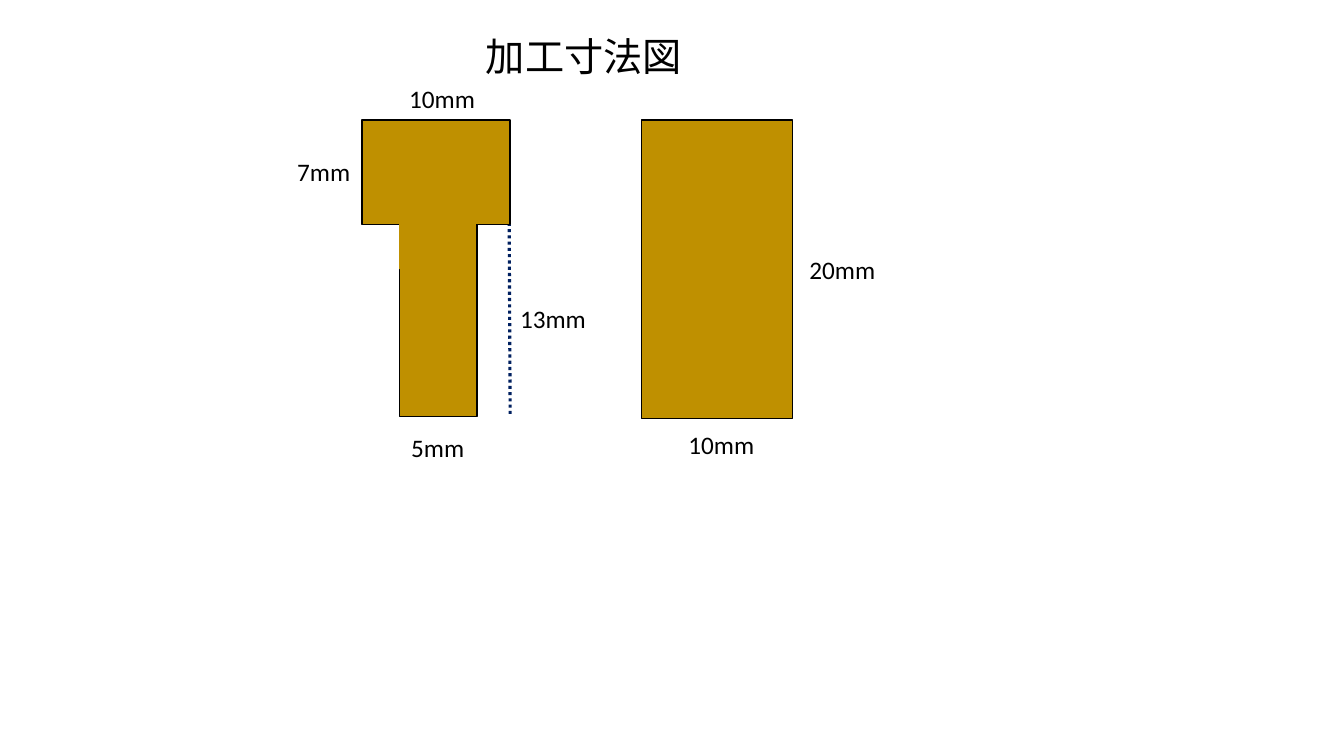
from lxml.etree import SubElement
from pptx import Presentation
from pptx.dml.color import RGBColor
from pptx.enum.dml import MSO_LINE as Dash
from pptx.enum.shapes import MSO_CONNECTOR as Conn, MSO_SHAPE as Shape
from pptx.enum.text import MSO_ANCHOR as Anchor, MSO_AUTO_SIZE as Fit, PP_ALIGN as Align
from pptx.oxml.ns import qn
from pptx.util import Inches, Pt

BLACK = RGBColor(0x00, 0x00, 0x00)
BROWN = RGBColor(0xBF, 0x90, 0x00)
NAVY = RGBColor(0x00, 0x20, 0x60)

WIDE, HIGH = 13.33, 7.5
TITLE = ("加工寸法図", (4.72, 0.27, 2.17, 0.57))

# Parts: left, top, width, height in inches
TOP = 1.19
HEAD = (3.59, TOP, 1.47, 1.04)
NECK = TOP + HEAD[3]
STEM = (3.96, NECK, 0.77, 1.9)
JOINT = (STEM[0], NECK - 0.56, 0.76, 1)  # hides the edge between head and stem
BLOCK = (6.36, TOP, 1.5, 2.96)
PARTS = [(BLOCK, True), (HEAD, True), (STEM, True), (JOINT, False)]

GUIDE = (5.05, 2.21, 5.06, 4.13)

# Labels: text, left, top
LABELS = [
    ("10mm", 3.96, 0.78),
    ("7mm", 2.85, 1.5),
    ("13mm", 5.06, 2.96),
    ("5mm", 3.98, 4.24),
    ("20mm", 7.93, 2.47),
    ("10mm", 6.73, 4.21),
]
CHAR, PAD, ROW = 0.13, 0.34, 0.4


def place(shape, box):
    shape.left, shape.top, shape.width, shape.height = map(Inches, box)


def write(shape, text, size=18, color=BLACK, font="Calibri"):
    frame = shape.text_frame
    frame.word_wrap = False
    frame.auto_size = Fit.SHAPE_TO_FIT_TEXT
    frame.vertical_anchor = Anchor.TOP
    line = frame.paragraphs[0]
    line.alignment = Align.LEFT
    run = line.add_run()
    run.text = text
    run.font.size = Pt(size)
    run.font.name = font
    run.font.color.rgb = color


def add_part(slide, box, edge):
    part = slide.shapes.add_shape(Shape.RECTANGLE, *map(Inches, box))
    part.shadow.inherit = False
    part.fill.solid()
    part.fill.fore_color.rgb = BROWN
    if edge:
        part.line.color.rgb = BLACK
        part.line.width = Pt(1)
    else:
        part.line.fill.background()


def add_guide(slide):
    guide = slide.shapes.add_connector(Conn.STRAIGHT, *map(Inches, GUIDE))
    guide.line.color.rgb = NAVY
    guide.line.width = Pt(2.25)
    guide.line.dash_style = Dash.ROUND_DOT
    SubElement(guide._element.spPr, qn("a:effectLst"))


def main():
    deck = Presentation()
    deck.slide_width, deck.slide_height = Inches(WIDE), Inches(HIGH)
    slide = deck.slides.add_slide(deck.slide_layouts[5])
    text, box = TITLE
    place(slide.shapes.title, box)
    write(slide.shapes.title, text, size=28)
    add_guide(slide)
    for box, edge in PARTS:
        add_part(slide, box, edge)
    for text, left, top in LABELS:
        box = (left, top, PAD + CHAR * len(text), ROW)
        write(slide.shapes.add_textbox(*map(Inches, box)), text)
    deck.save("out.pptx")


if __name__ == "__main__":
    main()
